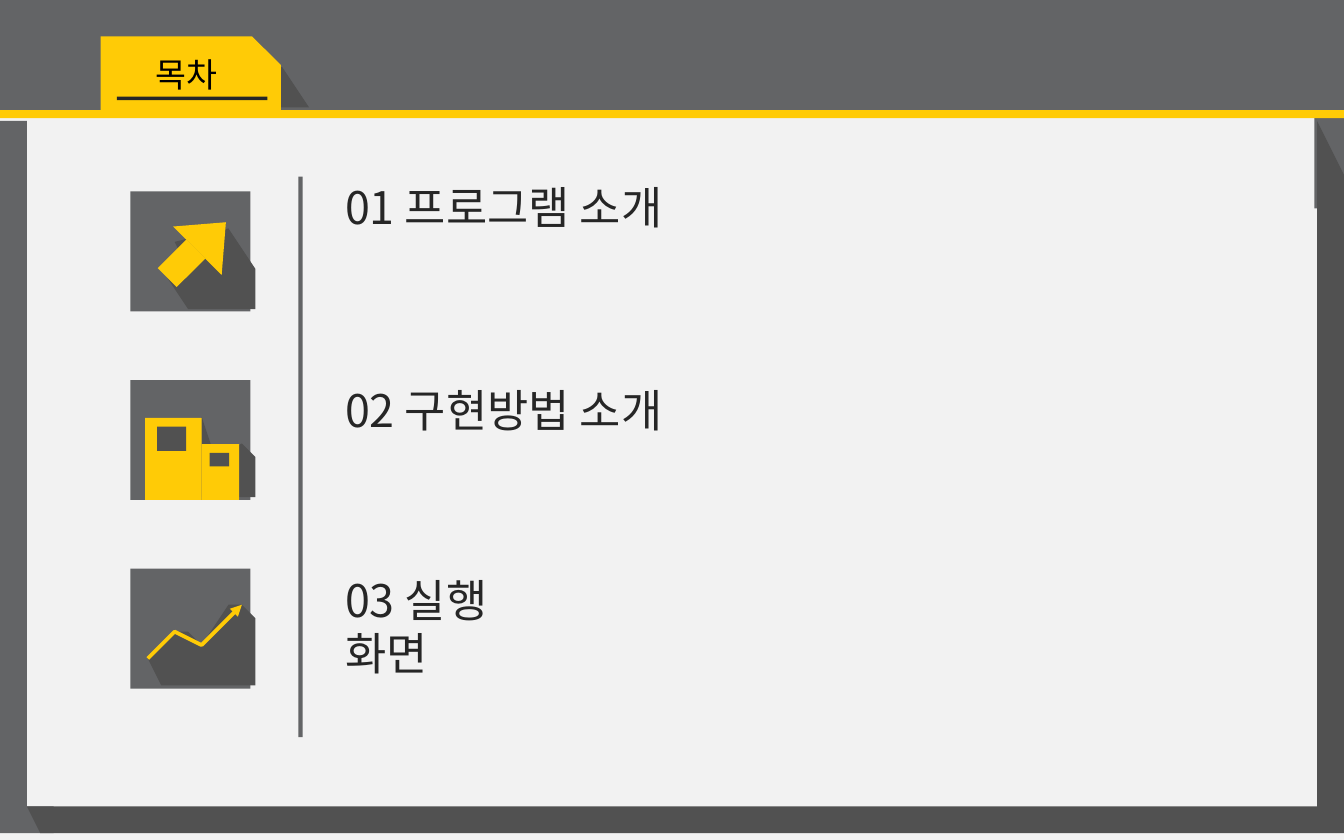
import pptx
import pptx.util
import pptx.dml.color
import pptx.enum.shapes
import pptx.enum.text
import pptx.oxml.ns
import lxml.etree

WIDTH, HEIGHT, COLUMNS = 10, 6.25, 100
GRAY, SHADE, YELLOW, INK = "636466", "515151", "FFCB06", "262626"
PAPER, BLACK = "F2F2F2", "000000"
FONT = "Noto Sans CJK KR"
SHAPES = pptx.enum.shapes.MSO_SHAPE


def color(value):
    return pptx.dml.color.RGBColor.from_string(value)


class SlideBuilder:
    """Hold the style and current slide; lengths are cells of a square grid 100 columns wide."""

    def __init__(self, presentation, layout):
        self.cell = presentation.slide_width / COLUMNS
        self.slide = presentation.slides.add_slide(layout)
        fill = self.slide.background.fill
        fill.solid()
        fill.fore_color.rgb = color(PAPER)

    def cells(self, *values):
        return [pptx.util.Emu(round(value * self.cell)) for value in values]

    def paint(self, shape, fill):
        shape.shadow.inherit = False
        shape.line.fill.background()
        shape.fill.solid()
        shape.fill.fore_color.rgb = color(fill)
        return shape

    def block(self, box, fill, kind=SHAPES.RECTANGLE, rotation=0):
        shape = self.slide.shapes.add_shape(kind, *self.cells(*box))
        shape.rotation = rotation
        return self.paint(shape, fill)

    def outline(self, points, close):
        builder = self.slide.shapes.build_freeform(*points[0], scale=self.cell)
        builder.add_line_segments(points[1:], close=close)
        return builder.convert_to_shape()

    def polygon(self, points, fill):
        return self.paint(self.outline(points, True), fill)

    def arrow(self, points, stroke, width):
        shape = self.outline(points, False)
        shape.shadow.inherit = False
        shape.fill.background()
        shape.line.color.rgb = color(stroke)
        shape.line.width = pptx.util.Pt(width)
        line = shape.element.spPr.find(pptx.oxml.ns.qn("a:ln"))
        lxml.etree.SubElement(line, pptx.oxml.ns.qn("a:tailEnd"), type="triangle")

    def set_text(self, shape, text, size, ink, right_inset=0):
        frame = shape.text_frame
        frame_format = {
            "word_wrap": True,
            "auto_size": pptx.enum.text.MSO_AUTO_SIZE.NONE,
            "vertical_anchor": pptx.enum.text.MSO_ANCHOR.TOP,
            "margin_right": self.cells(right_inset)[0],
        }
        for name, value in frame_format.items():
            setattr(frame, name, value)
        paragraph = frame.paragraphs[0]
        paragraph.alignment = pptx.enum.text.PP_ALIGN.LEFT
        run = paragraph.add_run()
        run.text = text
        for name, value in {"name": FONT, "size": pptx.util.Pt(size)}.items():
            setattr(run.font, name, value)
        run.font.color.rgb = color(ink)
        for properties in shape.element.iter(pptx.oxml.ns.qn("a:rPr")):
            lxml.etree.SubElement(properties, pptx.oxml.ns.qn("a:ea"), typeface=FONT)

    def text(self, box, text, size, ink, right_inset=0):
        shape = self.slide.shapes.add_textbox(*self.cells(*box))
        self.set_text(shape, text, size, ink, right_inset)

    def title(self, box, text, size, ink):
        shape = self.slide.shapes.title
        for name, value in zip(("left", "top", "width", "height"), self.cells(*box)):
            setattr(shape, name, value)
        self.set_text(shape, text, size, ink)
        shape.element.getparent().append(shape.element)


def draw_folder(builder):
    builder.block((97.8, 7.3, 2.2, 8.2), GRAY)
    builder.polygon([(0, 8.8), (2.15, 8.8), (2.15, 60.3), (4.3, 60.3), (4.3, 62.5), (0, 62.5)], GRAY)
    builder.block((0, 0, 100, 8.2), GRAY)
    builder.polygon([(18.2, 4.8), (20.8, 4.8), (22.9, 8.4), (18.2, 8.4)], SHADE)
    tab = builder.block((7.5, 2.7, 13.4, 5.5), YELLOW, SHAPES.SNIP_1_RECTANGLE)
    tab.adjustments[0] = 0.39
    builder.block((8.7, 7.2, 11.2, 0.25), INK)
    builder.polygon([(97.8, 8.8), (100, 12.7), (100, 62.5), (3.4, 62.5), (2.15, 60.4),
                     (2.15, 60.3), (97.8, 60.3)], SHADE)
    builder.block((0, 8.2, 100, 0.6), YELLOW)


def draw_icons(builder):
    shadows = [
        [(16.8, 16.6), (18.6, 19.8), (18.6, 23.2), (13.5, 23.2), (11.6, 19.8), (14.1, 19.8), (13.3, 18.5)],
        [(14.9, 31.1), (15, 31.1), (16.5, 33.8), (17.8, 33), (18.6, 34.5), (18.6, 37.2), (14.9, 37.2)],
        [(17.8, 44.6), (18.65, 46.1), (18.65, 51.2), (12.1, 51.2), (10.7, 48.8), (11.7, 48.2),
         (13.1, 46.9), (13.5, 47.2), (15.1, 48.2), (17.3, 45.4), (17.1, 45.1)],
    ]
    for index, shadow in enumerate(shadows):
        builder.block((9.7, 14.25 + 14.03 * index, 8.93, 8.93), GRAY)
        builder.polygon(shadow, SHADE)
    builder.block((12.5, 18.1, 2, 3), YELLOW, rotation=45)
    builder.block((13.2, 16.1, 5.1, 3), YELLOW, SHAPES.ISOSCELES_TRIANGLE, 45)
    buildings = [((10.8, 31.1, 4.2, 6.1), YELLOW), ((15, 33.05, 2.8, 4.15), YELLOW),
                 ((11.7, 31.75, 2.15, 1.8), SHADE), ((15.6, 33.7, 1.45, 1), SHADE)]
    for box, fill in buildings:
        builder.block(box, fill)
    builder.arrow([(10.7, 48.9), (13.1, 46.9), (14.9, 48.2), (17.8, 44.6)], YELLOW, 2)


def main():
    presentation = pptx.Presentation()
    presentation.slide_width = pptx.util.Inches(WIDTH)
    presentation.slide_height = pptx.util.Inches(HEIGHT)
    builder = SlideBuilder(presentation, presentation.slide_layouts[5])
    draw_folder(builder)
    draw_icons(builder)
    builder.block((22.2, 13.15, 0.33, 41.7), GRAY)
    builder.title((10.6, 3.5, 7.1, 4), "목차", 18, BLACK)
    entries = [("01 프로그램 소개", 12.9, 27.3, 0), ("02 구현방법 소개", 28, 27.3, 0),
               ("03 실행 화면", 42.1, 20.4, 5)]
    for label, top, width, right_inset in entries:
        builder.text((24.7, top, width, 5), label, 24, INK, right_inset)
    presentation.save("out.pptx")


if __name__ == "__main__":
    main()
